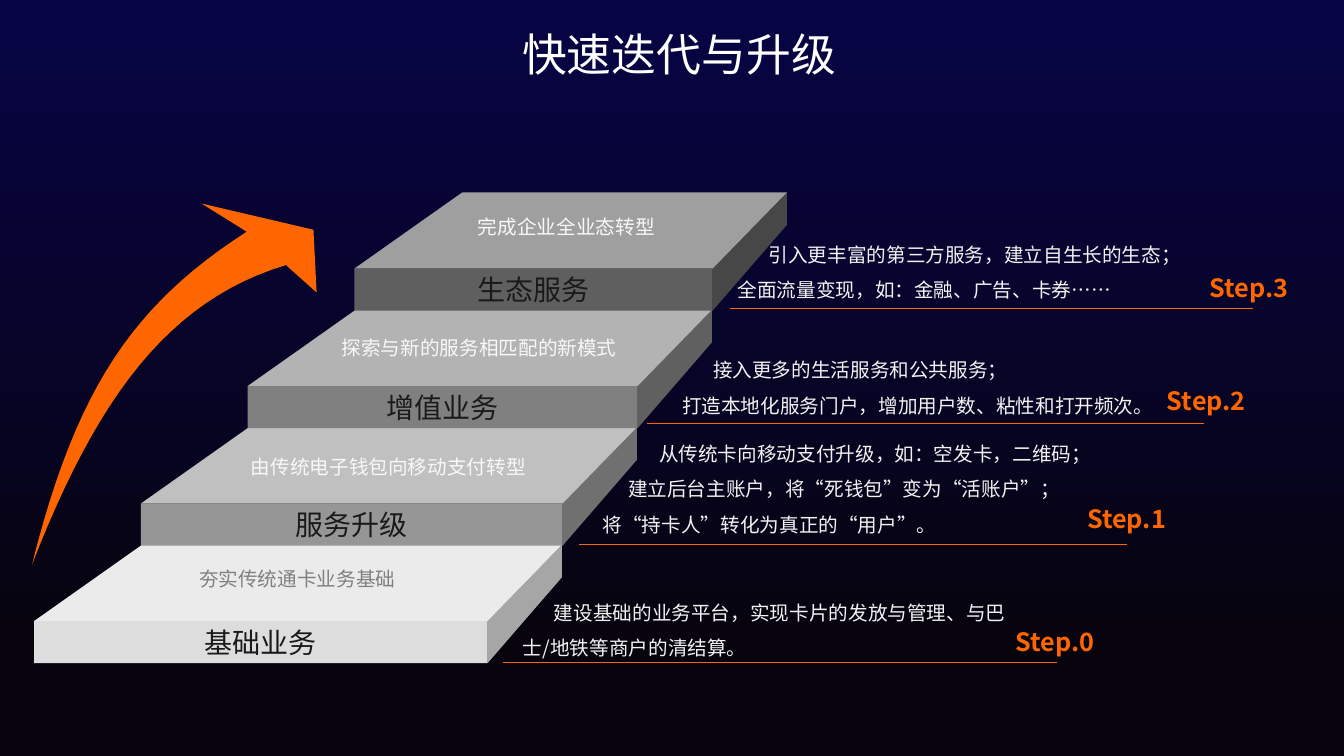
from lxml.etree import SubElement
from pptx import Presentation
from pptx.dml.color import RGBColor
from pptx.enum.shapes import MSO_CONNECTOR, MSO_SHAPE
from pptx.enum.text import MSO_ANCHOR, MSO_AUTO_SIZE, PP_ALIGN
from pptx.oxml.ns import qn
from pptx.util import Cm, Pt

FONT = "Noto Sans CJK SC"
HEX = {
    "sky": "070446", "ground": "07040E", "accent": "FF6600",
    "white": "FFFFFF", "note": "F2F2F2", "name": "1A1A1A",
}
TITLE = "快速迭代与升级"

# Lengths are in cm. Steps run from the bottom stair to the top one.
# colours: side, top, front, caption; cap and note: left, top, width;
# lines: text and first-line indent; rule: left, y, right; tag: left, top
STEPS = [
    {"name": "基础业务", "caption": "夯实传统通卡业务基础",
     "colours": ("A6A6A6", "EBEBEB", "DDDDDD", "808080"),
     "cap": (4.32, 14.17, 6.35), "note": (12.93, 14.71, 12.8),
     "lines": [("建设基础的业务平台，实现卡片的发放与管理、与巴士/地铁等商户的清结算。", 0.78)],
     "rule": (12.67, 16.69, 26.64), "tag": (25.35, 15.67)},
    {"name": "服务升级", "caption": "由传统电子钱包向移动支付转型",
     "colours": ("707070", "C0C0C0", "969696", "F8F8F8"),
     "cap": (5.61, 11.35, 8.36), "note": (14.94, 10.72, 12.8),
     "lines": [("从传统卡向移动支付升级，如：空发卡，二维码；", 1.42),
               ("建立后台主账户，将“死钱包”变为“活账户”；", 0.64),
               ("将“持卡人”转化为真正的“用户”。", 0)],
     "rule": (14.6, 13.72, 28.4), "tag": (27.15, 12.57)},
    {"name": "增值业务", "caption": "探索与新的服务相匹配的新模式",
     "colours": ("606060", "B3B3B3", "808080", "F8F8F8"),
     "cap": (7.75, 8.33, 8.66), "note": (16.94, 8.61, 13),
     "lines": [("接入更多的生活服务和公共服务；", 0.78),
               ("打造本地化服务门户，增加用户数、粘性和打开频次。", 0)],
     "rule": (16.31, 10.67, 30.35), "tag": (29.16, 9.58)},
    {"name": "生态服务", "caption": "完成企业全业态转型",
     "colours": ("474747", "9F9F9F", "5F5F5F", "F8F8F8"),
     "cap": (11.1, 5.28, 6.35), "note": (18.34, 5.69, 11.48),
     "lines": [("引入更丰富的第三方服务，建立自生长的生态；", 0.78),
               ("全面流量变现，如：金融、广告、卡券……", 0)],
     "rule": (18.39, 7.77, 31.57), "tag": (30.23, 6.73)},
]
# Arrow: two curved edges, joined by the corners of the head
OUTER = [(0.81, 14.22), (1.93, 9.75), (3.38, 7.67), (6.22, 5.84)]
HEAD = [(5.08, 5.13), (7.9, 5.79), (7.98, 7.37), (7.24, 6.71)]
INNER = [(7.21, 6.68), (4.24, 7.57), (2.44, 10.03), (0.81, 14.22)]

# Stairs: first front face, shift per step, and depth of the treads
LEFT, TOP, WIDTH, HIGH = 0.86, 15.65, 11.43, 1.06
RIGHT, RISE, SHRINK = 2.69, 2.96, 0.8
SKEW, DEEP, BACK, EDGE = 2.72, 1.92, 1.87, 0.82


def colour(code):
    return RGBColor.from_string(code)


def style(para, size, code, bold=False, align=PP_ALIGN.LEFT):
    para.alignment = align
    for run in para.runs:
        font = run.font
        font.size, font.bold, font.name = Pt(size), bold, FONT
        font.color.rgb = colour(code)
        SubElement(font._element, qn("a:ea")).set("typeface", FONT)


def paint(shape, code):
    shape.shadow.inherit = False
    shape.fill.solid()
    shape.fill.fore_color.rgb = colour(code)
    shape.line.fill.background()


def outline(shapes, points, code):
    spots = [(Cm(x), Cm(y)) for x, y in points]
    build = shapes.build_freeform(*spots[0])
    build.add_line_segments(spots[1:], close=True)
    paint(build.convert_to_shape(), code)


def curve(ends, count=24):
    """Points along a cubic Bezier curve."""
    points = []
    for i in range(count + 1):
        t = i / count
        u = 1 - t
        parts = (u**3, 3 * u * u * t, 3 * u * t * t, t**3)
        points.append(tuple(sum(k * p[axis] for k, p in zip(parts, ends))
                            for axis in (0, 1)))
    return points


def textbox(shapes, x, y, w, h):
    frame = shapes.add_textbox(Cm(x), Cm(y), Cm(w), Cm(h)).text_frame
    frame.word_wrap = True
    return frame


def add_stair(shapes, i, step):
    side, top, front, ink = step["colours"]
    x, y, w = LEFT + RIGHT * i, TOP - RISE * i, WIDTH - SHRINK * i
    end, far, back = x + w, x + w + BACK, y - DEEP
    outline(shapes, [(far, back + EDGE), (end, y + HIGH), (end, y), (far, back)], side)
    outline(shapes, [(end, y), (x, y), (x + SKEW, back), (far, back)], top)
    face = shapes.add_shape(MSO_SHAPE.RECTANGLE, Cm(x), Cm(y), Cm(w), Cm(HIGH))
    paint(face, front)
    frame = face.text_frame
    frame.word_wrap = False
    frame.vertical_anchor = MSO_ANCHOR.MIDDLE
    frame.text = step["name"]
    style(frame.paragraphs[0], 20, HEX["name"], align=PP_ALIGN.CENTER)
    frame = textbox(shapes, *step["cap"], 0.86)
    frame.text = step["caption"]
    style(frame.paragraphs[0], 14, ink, align=PP_ALIGN.CENTER)


def add_note(shapes, i, step):
    lines = step["lines"]
    frame = textbox(shapes, *step["note"], 2.95 if len(lines) > 2 else 2.06)
    frame.text = "\n".join(text for text, _ in lines)
    for para, (_, indent) in zip(frame.paragraphs, lines):
        props = para._p.get_or_add_pPr()
        props.set("marL", "0")
        props.set("indent", str(int(Cm(indent))))
        para.line_spacing = 1.5
        style(para, 14, HEX["note"])
    x, y, end = step["rule"]
    rule = shapes.add_connector(MSO_CONNECTOR.STRAIGHT, Cm(x), Cm(y), Cm(end), Cm(y))
    rule.line.color.rgb = colour(HEX["accent"])
    rule.line.width = Pt(0.5)
    SubElement(rule._element.spPr, qn("a:effectLst"))
    frame = textbox(shapes, *step["tag"], 3.2, 1.02)
    frame.text = f"Step.{i}"
    style(frame.paragraphs[0], 18, HEX["accent"], bold=True)


def add_title(title):
    title.left, title.top, title.width, title.height = Cm(2.51), Cm(0.48), Cm(29.21), Cm(1.93)
    frame = title.text_frame
    frame.text = TITLE
    frame.auto_size = MSO_AUTO_SIZE.NONE
    frame.vertical_anchor = MSO_ANCHOR.MIDDLE
    frame.paragraphs[0].line_spacing = 0.9
    style(frame.paragraphs[0], 32, HEX["white"], align=PP_ALIGN.CENTER)


def main():
    deck = Presentation()
    deck.slide_width, deck.slide_height = Cm(33.87), Cm(19.05)
    slide = deck.slides.add_slide(deck.slide_layouts[5])
    fill = slide.background.fill
    fill.gradient()
    fill.gradient_angle = 270
    for stop, name, place in zip(fill.gradient_stops, ("sky", "ground"), (0, 0.87)):
        stop.color.rgb = colour(HEX[name])
        stop.position = place
    add_title(slide.shapes.title)
    outline(slide.shapes, curve(OUTER) + HEAD + curve(INNER)[:-1], HEX["accent"])
    for i, step in enumerate(STEPS):
        add_stair(slide.shapes, i, step)
    for i, step in enumerate(STEPS):
        add_note(slide.shapes, i, step)
    deck.save("out.pptx")


if __name__ == "__main__":
    main()
